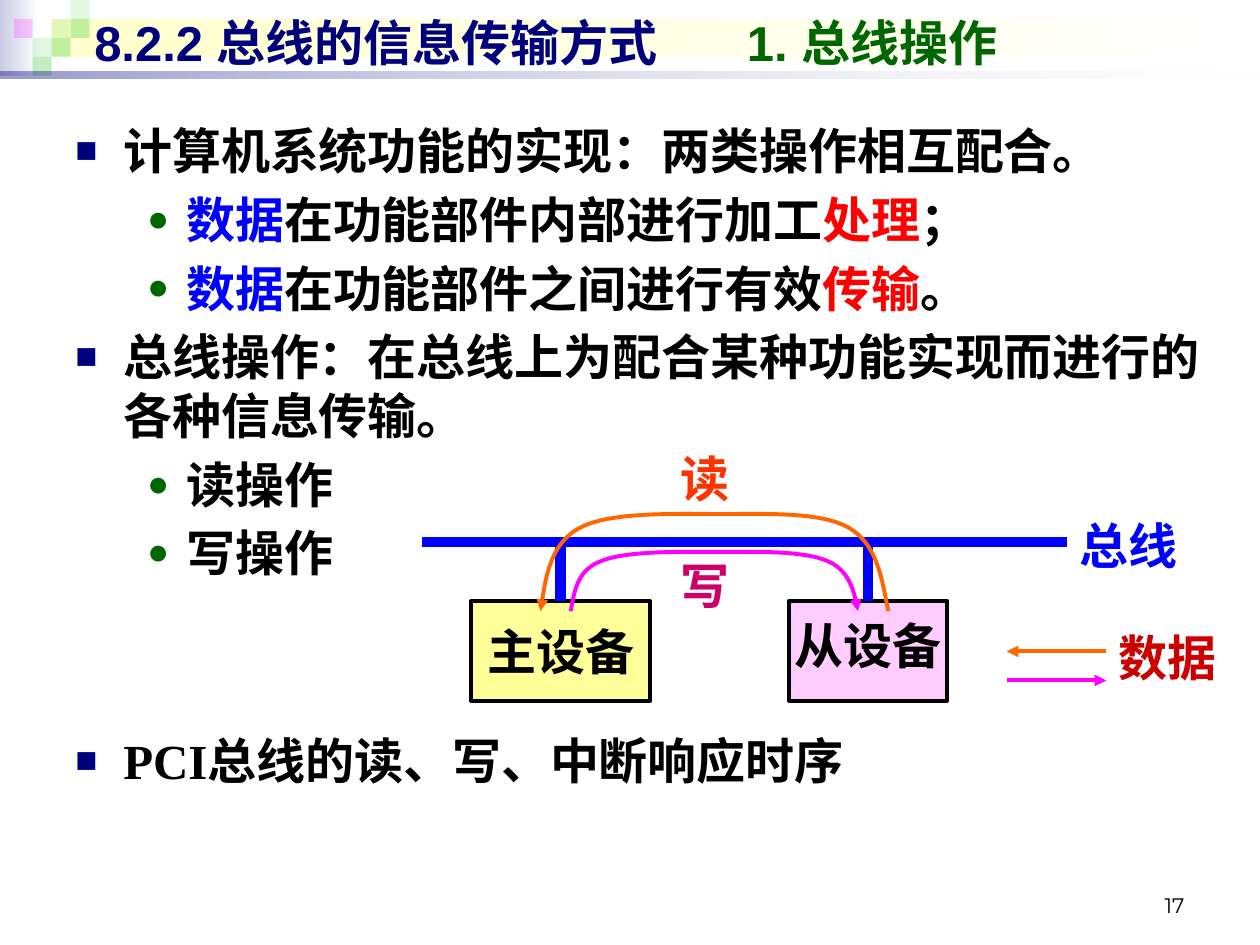
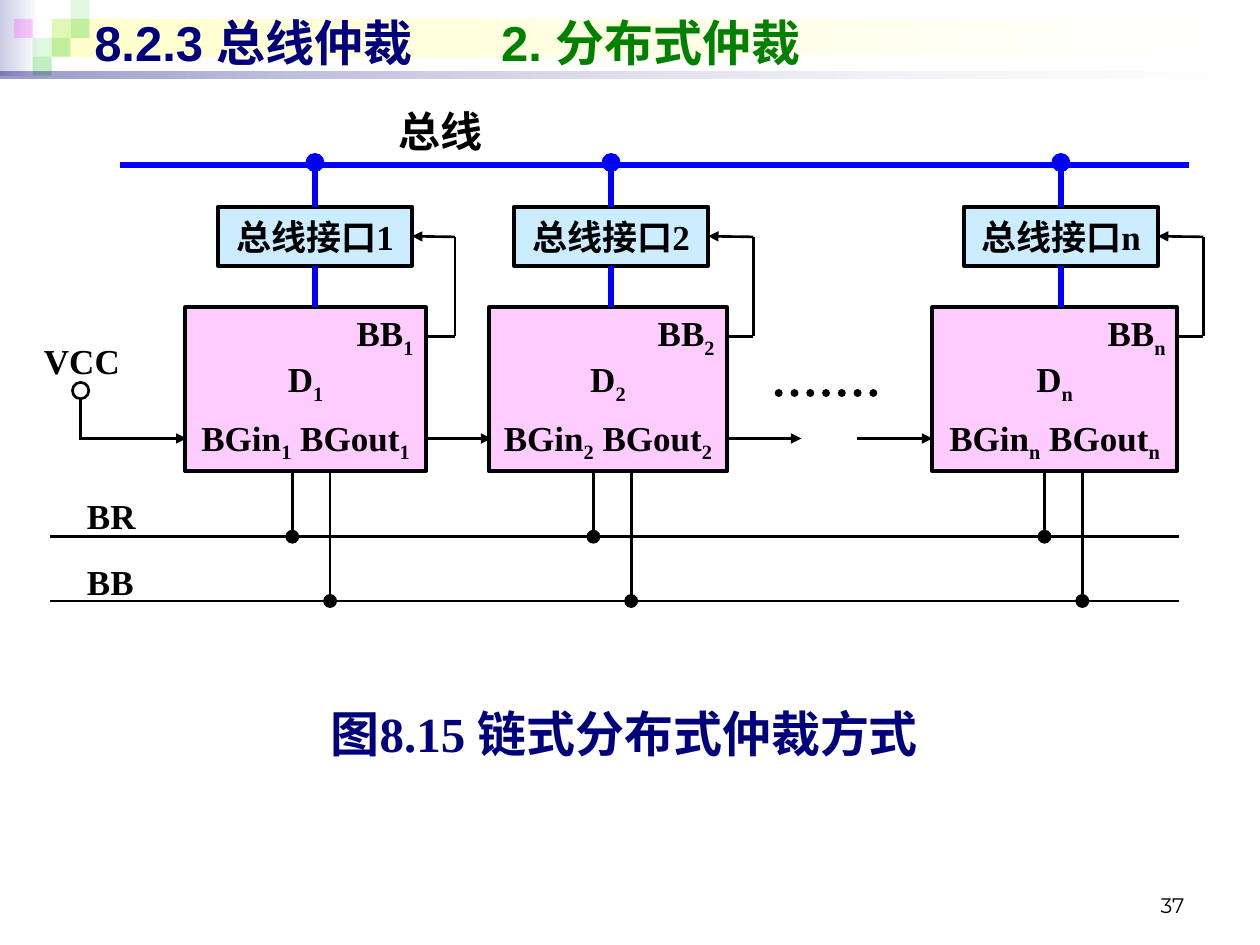
from lxml.etree import SubElement
from pptx import Presentation
from pptx.dml.color import RGBColor
from pptx.enum.dml import MSO_LINE
from pptx.enum.shapes import MSO_CONNECTOR, MSO_SHAPE
from pptx.enum.text import MSO_ANCHOR, PP_ALIGN
from pptx.oxml.ns import qn
from pptx.util import Inches, Pt

COLOURS = {
    "black": "000000", "white": "FFFFFF", "navy": "00007D", "lavender": "CCCCE6",
    "cream": "FFFFCC", "square_green": "33CC33", "magenta": "FF00FF",
    "dark_green": "006600", "green": "008000", "blue": "0000FF", "red": "FF0000",
    "yellow": "FFFF99", "pink": "FFCCFF", "sky": "CCECFF", "orange": "FF6600",
    "vermilion": "FF3300", "crimson": "CC0066", "dark_red": "CC0000",
}
CELL = 0.15
SQUARES = [
    (0.41, 0.15, "square_green", 15), (0.56, 0, "square_green", 15),
    (0.56, 0.15, "square_green", 30), (0.26, 0.3, "square_green", 15),
    (0.11, 0.15, "magenta", 20), (0.41, 0.3, "square_green", 30),
    (0.26, 0.45, "square_green", 30),
]
BULLETS = {0: ("■", "navy", 0.38, 0.38), 1: ("●", "dark_green", 0.88, 0.31)}


def rgb(name):
    return RGBColor.from_string(COLOURS[name])


def apply(target, values):
    for name, value in values.items():
        setattr(target, name, value)


class SlideBuilder:
    font = "Times New Roman"

    def __init__(self, deck):
        self.deck = deck
        self.page = None

    def start(self, heading, topic, topic_colour, topic_tab, number):
        self.page = self.deck.slides.add_slide(self.deck.slide_layouts[6])
        self.gradient((0, 0, 0.31, 0.6), "lavender")
        self.gradient((0.41, 0.15, 9.55, 0.3), "cream")
        for left, top, colour, alpha in SQUARES:
            square = self.shape((left, top, CELL, CELL), colour)
            self.fade(square, [alpha])
        self.fade(self.gradient((0, 0.57, 10, 0.05), "navy"), [40, 10])
        self.label((7.17, 6.83, 2.33, 0.5), number, size=12, font="Montserrat",
                   bold=False, align=PP_ALIGN.RIGHT, anchor=MSO_ANCHOR.BOTTOM)
        title = self.label((0.65, 0.05, 9, 0.57),
                           [[(heading + "\t", "navy"), (topic, topic_colour)]],
                           font="Arial", anchor=MSO_ANCHOR.MIDDLE)
        properties = title.text_frame.paragraphs[0]._p.get_or_add_pPr()
        stops = SubElement(properties, qn("a:tabLst"))
        SubElement(stops, qn("a:tab"), pos=str(Inches(topic_tab)), algn="l")

    def shape(self, place, fill, line=None, width=2.25, kind=MSO_SHAPE.RECTANGLE):
        box = self.page.shapes.add_shape(kind, *map(Inches, place))
        box.shadow.inherit = False
        box.fill.solid()
        box.fill.fore_color.rgb = rgb(fill)
        if line:
            self.stroke(box, line, width)
        else:
            box.line.fill.background()
        return box

    def gradient(self, place, colour):
        band = self.shape(place, colour)
        band.fill.gradient()
        band.fill.gradient_angle = 0
        for stop, name in zip(band.fill.gradient_stops, (colour, "white")):
            stop.color.rgb = rgb(name)
        return band

    def fade(self, box, alphas):
        for colour, alpha in zip(box.element.spPr.iter(qn("a:srgbClr")), alphas):
            SubElement(colour, qn("a:alpha"), val=str(alpha * 1000))

    def dot(self, x, y, size, colour, fill=None, width=0.75):
        place = (x - size / 2, y - size / 2, size, size)
        return self.shape(place, fill or colour, colour, width,
                          MSO_SHAPE.FLOWCHART_CONNECTOR)

    def stroke(self, item, colour, width, head=False, tail=False):
        item.line.color.rgb = rgb(colour)
        item.line.width = Pt(width)
        outline = item.line._get_or_add_ln()
        for tag, wanted in (("a:headEnd", head), ("a:tailEnd", tail)):
            if wanted:
                SubElement(outline, qn(tag), type="triangle")

    def line(self, start, end, colour="black", width=1.5, head=False, tail=False,
             begin=None, finish=None):
        link = self.page.shapes.add_connector(
            MSO_CONNECTOR.STRAIGHT, *map(Inches, (*start, *end)))
        if begin:
            link.begin_connect(*begin)
        if finish:
            link.end_connect(*finish)
        self.stroke(link, colour, width, head, tail)
        SubElement(link.element.spPr, qn("a:effectLst"))
        return link

    def curve(self, controls, colour, head=False, tail=False):
        points = [controls[0]]
        for first in range(0, len(controls) - 1, 3):
            for step in range(1, 17):
                t = step / 16
                weights = ((1 - t) ** 3, 3 * t * (1 - t) ** 2, 3 * t * t * (1 - t), t ** 3)
                points.append(tuple(
                    sum(w * point[axis] for w, point in zip(weights, controls[first:first + 4]))
                    for axis in (0, 1)))
        points = [(Inches(x), Inches(y)) for x, y in points]
        outline = self.page.shapes.build_freeform(*points[0])
        outline.add_line_segments(points[1:], close=False)
        arc = outline.convert_to_shape()
        arc.shadow.inherit = False
        arc.fill.background()
        self.stroke(arc, colour, 2.25, head, tail)

    def label(self, place, text, **style):
        box = self.page.shapes.add_textbox(*map(Inches, place))
        self.set_text(box, text, **style)
        return box

    def set_text(self, box, lines, colour="black", size=28, font=None, bold=True,
                 align=PP_ALIGN.LEFT, anchor=MSO_ANCHOR.TOP, wrap=True,
                 inset=None, spacing=None, gap=0):
        frame = box.text_frame
        apply(frame, {"word_wrap": wrap, "vertical_anchor": anchor})
        if inset is not None:
            apply(frame, dict.fromkeys(
                ("margin_left", "margin_right", "margin_top", "margin_bottom"), Inches(inset)))
        if isinstance(lines, str):
            lines = [[(lines, colour)]]
        for index, spans in enumerate(lines):
            para = frame.add_paragraph() if index else frame.paragraphs[0]
            apply(para, {"alignment": align, "line_spacing": spacing,
                         "space_before": Pt(gap if index else 0)})
            for text, tint, *baseline in spans:
                span = para.add_run()
                span.text = text
                apply(span.font, {"name": font or self.font, "size": Pt(size), "bold": bold})
                span.font.color.rgb = rgb(tint)
                if baseline:
                    span._r.get_or_add_rPr().set("baseline", str(baseline[0] * 1000))

    def bullets(self, place, items):
        box = self.label(place, [spans for _, spans in items], gap=5.6)
        for para, (level, _) in zip(box.text_frame.paragraphs, items):
            mark, colour, margin, hang = BULLETS[level]
            para.level = level
            properties = para._p.get_or_add_pPr()
            properties.set("marL", str(Inches(margin)))
            properties.set("indent", str(-Inches(hang)))
            tint = SubElement(properties, qn("a:buClr"))
            SubElement(tint, qn("a:srgbClr"), val=COLOURS[colour])
            SubElement(properties, qn("a:buSzPct"), val="75000")
            SubElement(properties, qn("a:buFont"), typeface=self.font)
            SubElement(properties, qn("a:buChar"), char=mark)
        return box


def bus_operations(builder):
    builder.start("8.2.2 总线的信息传输方式", "1. 总线操作", "dark_green", 5.18, "17")
    body = builder.bullets((0.5, 0.91, 9.15, 5.91), [
        (0, [("计算机系统功能的实现：两类操作相互配合。", "black")]),
        (1, [("数据", "blue"), ("在功能部件内部进行加工", "black"),
             ("处理", "red"), ("；", "black")]),
        (1, [("数据", "blue"), ("在功能部件之间进行有效", "black"),
             ("传输", "red"), ("。", "black")]),
        (0, [("总线操作：在总线上为配合某种功能实现而进行的各种信息传输。", "black")]),
        (1, [("读操作", "black")]),
        (1, [("写操作", "black")]),
        (0, [("PCI总线的读、写、中断响应时序", "black")]),
    ])
    body.text_frame.paragraphs[-1].space_before = Pt(85)

    bus_y = 4.3
    builder.line((3.35, bus_y), (8.47, bus_y), "blue", 6)
    builder.label((8.47, 4.04, 1.1, 0.57), "总线", colour="blue")
    for name, left, width, fill, spacing in (
            ("主设备", 3.74, 1.42, "yellow", None), ("从设备", 6.26, 1.26, "pink", 0.8)):
        device = builder.shape((left, 4.77, width, 0.79), fill, "black")
        builder.set_text(device, name, align=PP_ALIGN.CENTER, anchor=MSO_ANCHOR.MIDDLE,
                         wrap=False, spacing=spacing)
        middle = left + width / 2
        builder.line((middle, 4.77), (middle, bus_y), "blue", 6, begin=(device, 0))

    builder.curve([(4.53, 4.85), (4.56, 4.69), (4.58, 4.52), (4.78, 4.45),
                   (4.98, 4.37), (5.41, 4.38), (5.71, 4.38),
                   (6.01, 4.38), (6.37, 4.37), (6.56, 4.45),
                   (6.74, 4.52), (6.78, 4.69), (6.81, 4.85)], "magenta", tail=True)
    builder.curve([(4.29, 4.85), (4.33, 4.59), (4.36, 4.32), (4.6, 4.19),
                   (4.84, 4.06), (5.36, 4.08), (5.72, 4.08),
                   (6.08, 4.08), (6.52, 4.06), (6.74, 4.19),
                   (6.96, 4.32), (7, 4.59), (7.05, 4.85)], "orange", head=True)
    for name, top, colour in (("读", 3.51, "vermilion"), ("写", 4.36, "crimson")):
        builder.label((5.16, top, 0.87, 0.57), name, colour=colour, align=PP_ALIGN.CENTER)
    builder.line((7.99, 5.17), (8.78, 5.17), "orange", 2.25, head=True)
    builder.line((7.99, 5.4), (8.78, 5.4), "magenta", 2.25, tail=True)
    builder.label((8.78, 4.93, 1.02, 0.57), "数据", colour="dark_red")


def distributed_arbitration(builder):
    builder.start("8.2.3 总线仲裁", "2. 分布式仲裁", "green", 3.23, "37")
    small = {"size": 20, "inset": 0}
    centred = {"align": PP_ALIGN.CENTER, "anchor": MSO_ANCHOR.MIDDLE, "inset": 0}
    bus_y, request_y, busy_y, grant_y = 1.31, 4.26, 4.77, 3.48

    for name, place, align in (("VCC", (0.26, 2.51, 0.78, 0.52), PP_ALIGN.CENTER),
                               ("BR", (0.69, 3.74, 0.6, 0.52), PP_ALIGN.LEFT),
                               ("BB", (0.69, 4.26, 0.6, 0.52), PP_ALIGN.LEFT)):
        builder.set_text(builder.shape(place, "white"), name, align=align,
                         anchor=MSO_ANCHOR.BOTTOM, **small)
    for y in (request_y, busy_y):
        builder.line((9.36, y), (0.4, y))
    builder.line((0.95, bus_y), (9.44, bus_y), "blue", 3)
    builder.label((2.95, 0.84, 1.1, 0.39), "总线", size=24, **centred)

    for name, stem_x, left, width, request_x, return_x in (
            ("1", 2.5, 1.47, 1.91, 2.32, 3.61),
            ("2", 4.85, 3.88, 1.89, 4.71, 5.98),
            ("n", 8.42, 7.4, 1.94, 8.29, 9.55)):
        right = left + width
        index = (name, "black", -25)
        device = builder.shape((left, 2.44, width, 1.3), "pink", "black")
        builder.set_text(device, [
            [("D", "black"), index],
            [("BGin", "black"), index, (" BGout", "black"), index],
        ], align=PP_ALIGN.CENTER, gap=6, **small)
        device.text_frame.margin_top = Inches(0.4)
        builder.label((right - 0.55, 2.53, 0.5, 0.3), [[("BB", "black"), index]],
                      spacing=0.72, **small)

        interface = builder.shape((stem_x - 0.77, 1.64, 1.54, 0.47), "sky", "black")
        builder.set_text(interface, "总线接口" + name, size=20, **centred)
        builder.line((stem_x, bus_y), (stem_x, 1.64), "blue", 3, finish=(interface, 0))
        builder.line((stem_x, 2.11), (stem_x, 2.44), "blue", 3, begin=(interface, 2))
        builder.dot(stem_x, 1.29, 0.14, "blue")

        builder.line((right, 2.67), (return_x, 2.67))
        builder.line((return_x, 2.67), (return_x, 1.88))
        builder.line((return_x, 1.88), (stem_x + 0.77, 1.88), tail=True,
                     finish=(interface, 3))
        for x, y in ((request_x, request_y), (request_x + 0.3, busy_y)):
            builder.line((x, 3.74), (x, y))
            builder.dot(x, y, 0.1, "black")

    for start, end in ((0.63, 1.48), (3.38, 3.9), (5.76, 6.36), (6.8, 7.4)):
        builder.line((start, grant_y), (end, grant_y), tail=True)
    builder.line((0.64, grant_y), (0.64, 3.16))
    builder.dot(0.64, 3.1, 0.13, "black", "white", 1.5)
    ellipsis = builder.line((6.18, 3.12), (7.05, 3.12), width=4.5)
    ellipsis.line.dash_style = MSO_LINE.ROUND_DOT
    ellipsis.line._get_or_add_ln().set("cap", "rnd")

    caption = builder.shape((2.16, 5.56, 5.59, 0.52), "white")
    builder.set_text(caption, "图8.15 链式分布式仲裁方式", colour="navy", **centred)


def main():
    deck = Presentation()
    apply(deck, {"slide_width": Inches(10), "slide_height": Inches(7.5)})
    builder = SlideBuilder(deck)
    bus_operations(builder)
    distributed_arbitration(builder)
    deck.save("out.pptx")


if __name__ == "__main__":
    main()
